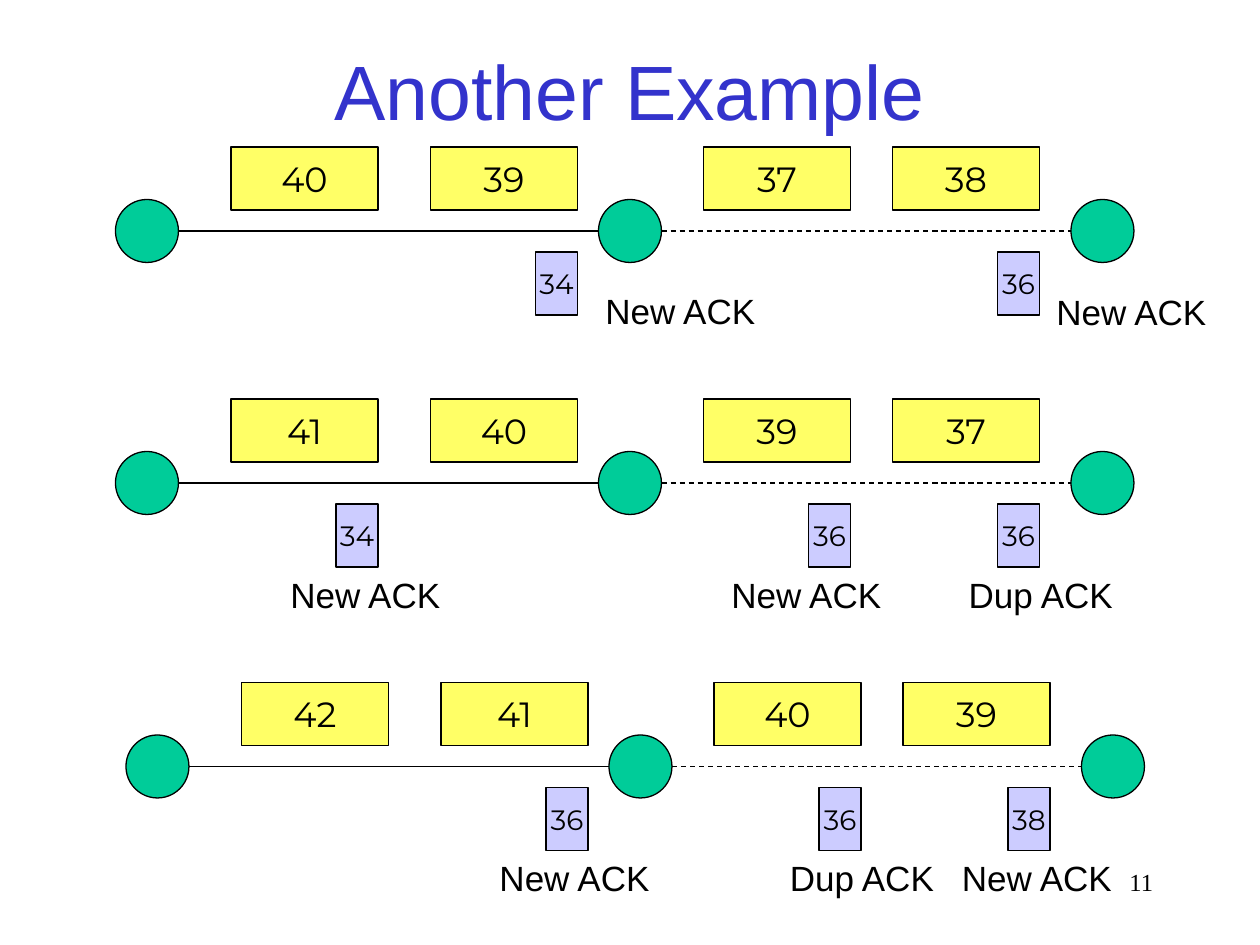
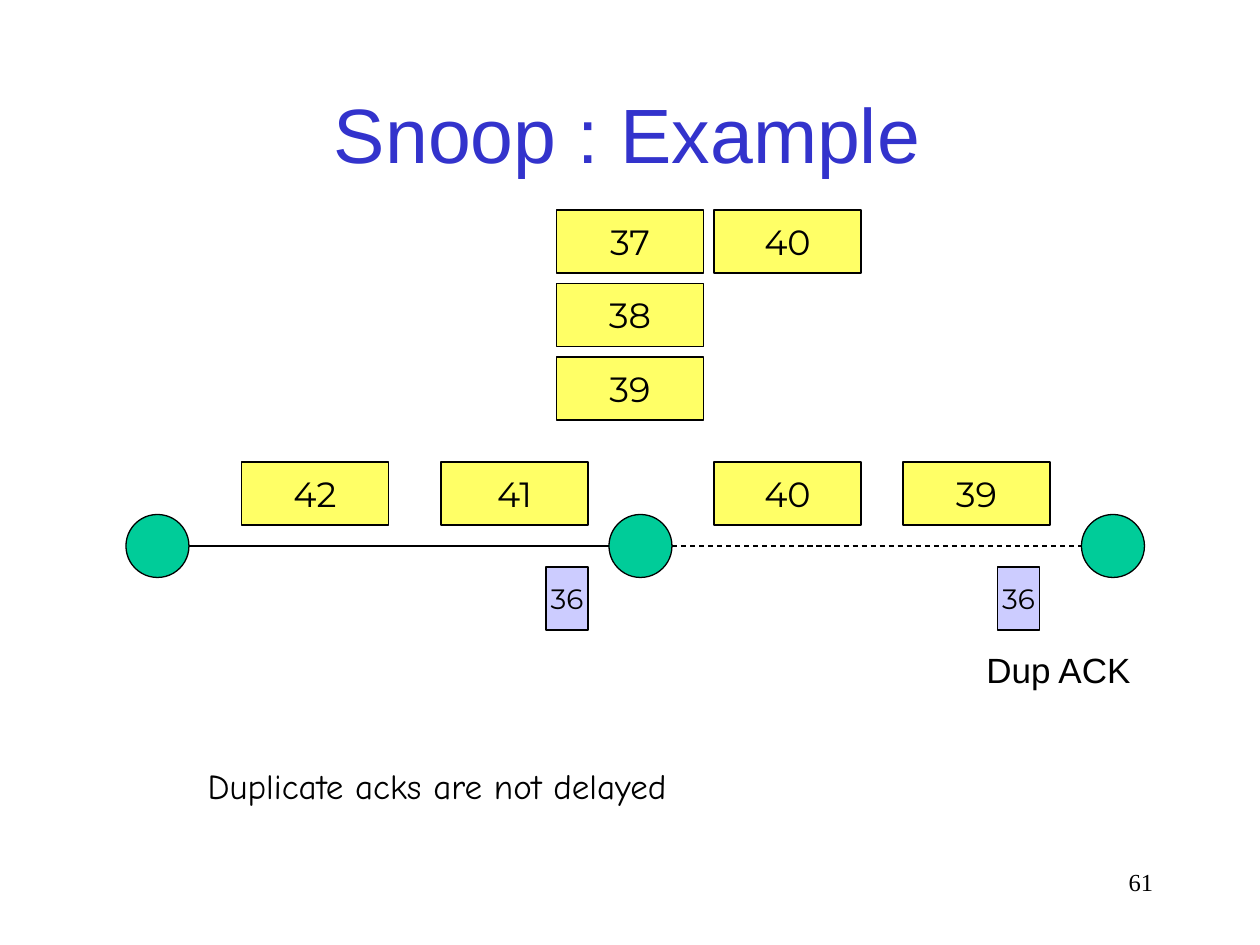
"""Build two slides that follow packets and ACKs across a wired and a wireless link."""
from lxml import etree
from pptx import Presentation
from pptx.dml.color import RGBColor
from pptx.enum.dml import MSO_LINE
from pptx.enum.shapes import MSO_CONNECTOR, MSO_SHAPE
from pptx.enum.text import MSO_ANCHOR, MSO_AUTO_SIZE, PP_ALIGN
from pptx.oxml.ns import qn
from pptx.util import Inches, Pt

LEFT, CENTER, RIGHT = PP_ALIGN.LEFT, PP_ALIGN.CENTER, PP_ALIGN.RIGHT
RECTANGLE, OVAL, STRAIGHT = MSO_SHAPE.RECTANGLE, MSO_SHAPE.OVAL, MSO_CONNECTOR.STRAIGHT
SOLID, DASH = MSO_LINE.SOLID, MSO_LINE.DASH
MIDDLE, FIT_SHAPE, NO_FIT = MSO_ANCHOR.MIDDLE, MSO_AUTO_SIZE.SHAPE_TO_FIT_TEXT, MSO_AUTO_SIZE.NONE

BLACK = RGBColor(0x00, 0x00, 0x00)
TITLE_BLUE = RGBColor(0x33, 0x33, 0xCC)
NODE_GREEN = RGBColor(0x00, 0xCC, 0x99)
PACKET_YELLOW = RGBColor(0xFF, 0xFF, 0x66)
ACK_LILAC = RGBColor(0xCC, 0xCC, 0xFF)

TITLE_FONT = LABEL_FONT = "Arial"
NUMBER_FONT = "Montserrat"
NOTE_FONT = "Comic Neue"
PAGE_FONT = "Times New Roman"

# Diagram lengths count twelfths of an inch; label, title and note places are inches.
GRID_PER_INCH = 12
NODE_OFFSETS = (0, 46, 91)
PACKET_OFFSETS = (11, 30, 56, 74)
LINK_DASHES = (SOLID, DASH)
SIZE, PACKET_WIDTH, ACK_WIDTH = 6, 14, 4
PACKET_RISE, ACK_DROP = 8, 2
LABEL_STYLES = {"New ACK": (1.4, CENTER), "Dup ACK": (1.36, LEFT)}

SLIDES = [
    {
        "title": ("Another Example", (0.75, 0.35, 8.5, 0.72)),
        "page": "11",
        "rows": [
            {"left": 11, "link": 22, "packets": (40, 39, 37, 38), "acks": {40: 34, 84: 36}},
            {"left": 11, "link": 46, "packets": (41, 40, 39, 37), "acks": {21: 34, 66: 36, 84: 36}},
            {"left": 12, "link": 73, "packets": (42, 41, 40, 39), "acks": {40: 36, 66: 36, 84: 38}},
        ],
        "labels": [
            ("New ACK", 4.7, 2.25), ("New ACK", 8.28, 2.26),
            ("New ACK", 2.2, 4.5), ("New ACK", 5.7, 4.5), ("Dup ACK", 7.59, 4.5),
            ("New ACK", 3.86, 6.75), ("Dup ACK", 6.17, 6.75), ("New ACK", 7.53, 6.75),
        ],
    },
    {
        "title": ("Snoop : Example", (0.73, 0.43, 8.5, 1.25)),
        "page": "61",
        "rows": [
            {"left": 12, "link": 52, "packets": (42, 41, 40, 39), "acks": {40: 36, 83: 36}},
        ],
        "labels": [("Dup ACK", 7.73, 5.1)],
        "cache": [(53, (37, 38, 39)), (68, (40,))],
        "note": ("Duplicate acks are not delayed", 1.55, 6.02, 3.86),
    },
]
CACHE_TOP, CACHE_STEP = 20, 7


def grid(count):
    return Inches(count / GRID_PER_INCH)


def write(frame, text, font_name, size, align, color=BLACK):
    frame.text = text
    paragraph = frame.paragraphs[0]
    paragraph.alignment = align
    font = paragraph.font
    font.name, font.size, font.color.rgb = font_name, Pt(size), color


def add_outlined(slide, preset, left, top, width, fill):
    shape = slide.shapes.add_shape(preset, grid(left), grid(top), grid(width), grid(SIZE))
    shape.shadow.inherit = False
    shape.fill.solid()
    shape.fill.fore_color.rgb = fill
    shape.line.color.rgb = BLACK
    shape.line.width = Pt(0.75)
    return shape


def add_numbered(slide, left, top, width, fill, number, size):
    frame = add_outlined(slide, RECTANGLE, left, top, width, fill).text_frame
    frame.word_wrap = False
    frame.vertical_anchor = MIDDLE
    write(frame, str(number), NUMBER_FONT, size, CENTER)


def add_packet(slide, left, top, number):
    add_numbered(slide, left, top, PACKET_WIDTH, PACKET_YELLOW, number, 20)


def add_link(slide, start, end, y, dash):
    link = slide.shapes.add_connector(STRAIGHT, grid(start), grid(y), grid(end), grid(y))
    link.line.color.rgb = BLACK
    link.line.width = Pt(0.75)
    link.line.dash_style = dash
    etree.SubElement(link._element.spPr, qn("a:effectLst"))


def add_row(slide, row):
    left, y = row["left"], row["link"]
    nodes = [left + offset for offset in NODE_OFFSETS]
    for node in nodes:
        add_outlined(slide, OVAL, node, y - SIZE / 2, SIZE, NODE_GREEN)
    for start, end, dash in zip(nodes, nodes[1:], LINK_DASHES):
        add_link(slide, start + SIZE, end, y, dash)
    for offset, number in zip(PACKET_OFFSETS, row["packets"]):
        add_packet(slide, left + offset, y - PACKET_RISE, number)
    for offset, number in row["acks"].items():
        add_numbered(slide, left + offset, y + ACK_DROP, ACK_WIDTH, ACK_LILAC, number, 16)


def add_line_of_text(slide, text, left, top, width, font_name, align):
    frame = slide.shapes.add_textbox(*map(Inches, (left, top, width, 0.44))).text_frame
    frame.word_wrap = False
    frame.auto_size = FIT_SHAPE
    write(frame, text, font_name, 20, align)


def add_frame(slide, title, page):
    text, place = title
    heading = slide.shapes.title
    heading.left, heading.top, heading.width, heading.height = map(Inches, place)
    heading.text_frame.auto_size = NO_FIT
    heading.text_frame.vertical_anchor = MIDDLE
    write(heading.text_frame, text, TITLE_FONT, 44, CENTER, TITLE_BLUE)
    footer = slide.shapes.add_textbox(*map(Inches, (7.17, 6.83, 2.08, 0.5))).text_frame
    footer.word_wrap = True
    write(footer, page, PAGE_FONT, 14, RIGHT)


def main():
    deck = Presentation()
    deck.slide_width, deck.slide_height = Inches(10), Inches(7.5)
    title_only = deck.slide_layouts.get_by_name("Title Only")
    for content in SLIDES:
        slide = deck.slides.add_slide(title_only)
        add_frame(slide, content["title"], content["page"])
        for row in content["rows"]:
            add_row(slide, row)
        for text, left, top in content["labels"]:
            width, align = LABEL_STYLES[text]
            add_line_of_text(slide, text, left, top, width, LABEL_FONT, align)
        for left, numbers in content.get("cache", []):
            for index, number in enumerate(numbers):
                add_packet(slide, left, CACHE_TOP + index * CACHE_STEP, number)
        if "note" in content:
            add_line_of_text(slide, *content["note"], NOTE_FONT, LEFT)
    deck.save("out.pptx")


if __name__ == "__main__":
    main()
